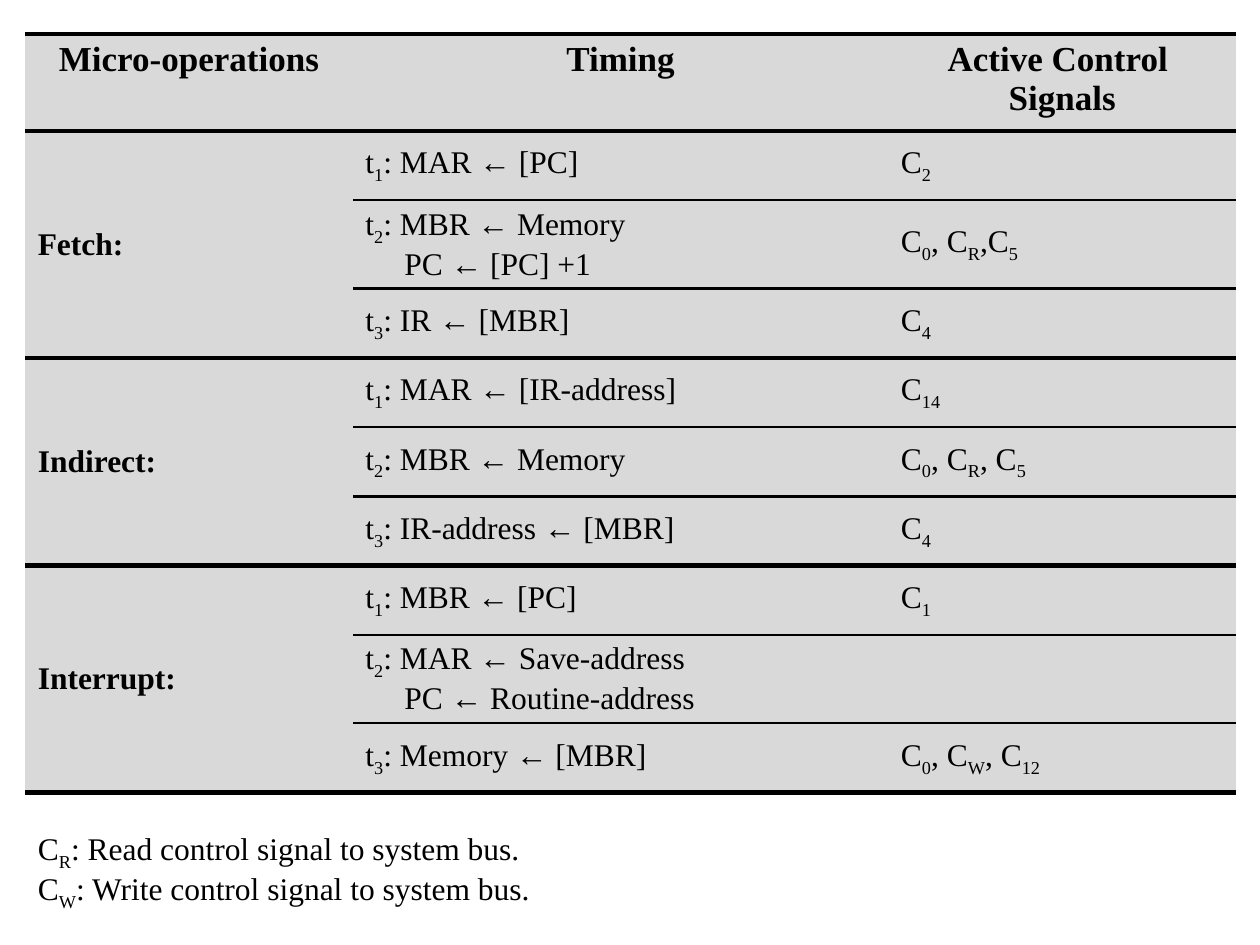
"""Build a slide of micro-operations, their timing and active control signals."""
from dataclasses import dataclass

from lxml import etree
from pptx import Presentation
from pptx.dml.color import RGBColor
from pptx.enum import text
from pptx.oxml import ns
from pptx.util import Inches, Pt

BLACK = RGBColor(0x00, 0x00, 0x00)
WHITE = RGBColor(0xFF, 0xFF, 0xFF)
GREY = RGBColor(0xD9, 0xD9, 0xD9)
FONT = "Times New Roman"
LEFT, TOP = 0.2, 0.27
COLUMN_WIDTHS = (2.6, 4.25, 2.76)
NONE, THIN, THICK = 0, 1.5, 3
SUBSCRIPT_MARK = "~"


@dataclass(frozen=True)
class Row:
    texts: tuple[str, str, str]
    height: float = 0.55
    rule_below: float = THIN
    kind: str = "step"


@dataclass(frozen=True)
class Cycle:
    rows: tuple[Row, ...]

    @property
    def height(self) -> float:
        return sum(row.height for row in self.rows)


CYCLES = (
    Cycle((
        Row(("Micro-operations", "Timing", "Active Control \nSignals"), 0.77, THICK, "header"),
        Row(("Fetch:", "t~1~: MAR ← [PC]", "C~2~")),
        Row(("", "t~2~: MBR ← Memory\nPC ← [PC] +1", "C~0~, C~R~,C~5~"), 0.7),
        Row(("", "t~3~: IR ← [MBR]", "C~4~")),
    )),
    Cycle((
        Row(("Indirect:", "t~1~: MAR ← [IR-address]", "C~14~")),
        Row(("", "t~2~: MBR ← Memory", "C~0~, C~R~, C~5~")),
        Row(("", "t~3~: IR-address ← [MBR]", "C~4~")),
    )),
    Cycle((
        Row(("Interrupt:", "t~1~: MBR ← [PC]", "C~1~")),
        Row(("", "t~2~: MAR ← Save-address\nPC ← Routine-address", ""), 0.7),
        Row(("", "t~3~: Memory ← [MBR]", "C~0~, C~W~, C~12~"), rule_below=THICK),
        Row(("C~R~: Read control signal to system bus.\n"
             "C~W~: Write control signal to system bus.", "", ""), 1, NONE, "notes"),
    )),
)


def set_borders(cell, above: float, below: float) -> None:
    properties = cell._tc.get_or_add_tcPr()
    sides = (("lnL", NONE), ("lnR", NONE), ("lnT", above), ("lnB", below))
    for position, (side, width) in enumerate(sides):
        line = etree.Element(ns.qn(f"a:{side}"), w=str(Pt(width)))
        if width:
            fill = etree.SubElement(line, ns.qn("a:solidFill"))
            etree.SubElement(fill, ns.qn("a:srgbClr"), val=str(BLACK))
        else:
            etree.SubElement(line, ns.qn("a:noFill"))
        properties.insert(position, line)


def write_line(paragraph, content: str, header: bool, bold: bool, indented: bool) -> None:
    paragraph.font.name = FONT
    paragraph.font.size = Pt(20 if header else 18)
    paragraph.font.bold = bold
    paragraph.font.color.rgb = BLACK
    paragraph.alignment = text.PP_ALIGN.CENTER if header else text.PP_ALIGN.LEFT
    if indented:
        paragraph._p.get_or_add_pPr().set("marL", str(Inches(0.31)))
    for position, part in enumerate(content.split(SUBSCRIPT_MARK)):
        if part:
            run = paragraph.add_run()
            run.text = part
            if position % 2:
                run.font._element.set("baseline", "-25000")


def fill_cell(cell, row: Row, column: int) -> None:
    header = row.kind == "header"
    cell.fill.solid()
    cell.fill.fore_color.rgb = WHITE if row.kind == "notes" else GREY
    cell.vertical_anchor = {
        "header": text.MSO_ANCHOR.TOP,
        "step": text.MSO_ANCHOR.MIDDLE,
        "notes": text.MSO_ANCHOR.BOTTOM,
    }[row.kind]
    frame = cell.text_frame
    bold = header or (row.kind == "step" and column == 0)
    for index, content in enumerate(row.texts[column].split("\n")):
        paragraph = frame.add_paragraph() if index else frame.paragraphs[0]
        write_line(paragraph, content, header, bold, column == 1 and index > 0)


def add_cycle(slide, cycle: Cycle, top: float) -> None:
    frame = slide.shapes.add_table(
        len(cycle.rows), len(COLUMN_WIDTHS), Inches(LEFT), Inches(top),
        Inches(sum(COLUMN_WIDTHS)), Inches(cycle.height))
    table = frame.table
    table.first_row = table.horz_banding = False
    for column, width in enumerate(COLUMN_WIDTHS):
        table.columns[column].width = Inches(width)

    steps = [i for i, row in enumerate(cycle.rows) if row.kind == "step"]
    first, last = steps[0], steps[-1]
    rules = [THICK] + [row.rule_below for row in cycle.rows]
    for index, row in enumerate(cycle.rows):
        table.rows[index].height = Inches(row.height)
        for column in range(len(COLUMN_WIDTHS)):
            cell = table.cell(index, column)
            fill_cell(cell, row, column)
            above, below = rules[index], rules[index + 1]
            if column == 0 and row.kind == "step":
                above = above if index == first else NONE
                below = rules[last + 1] if index in (first, last) else NONE
            set_borders(cell, above, below)
        if row.kind == "notes":
            table.cell(index, 0).merge(table.cell(index, len(COLUMN_WIDTHS) - 1))
    table.cell(first, 0).merge(table.cell(last, 0))


def main() -> None:
    presentation = Presentation()
    presentation.slide_width, presentation.slide_height = Inches(10), Inches(7.5)
    slide = presentation.slides.add_slide(presentation.slide_layouts[6])
    top = TOP
    for cycle in CYCLES:
        add_cycle(slide, cycle, top)
        top += cycle.height
    presentation.save("out.pptx")


main()
